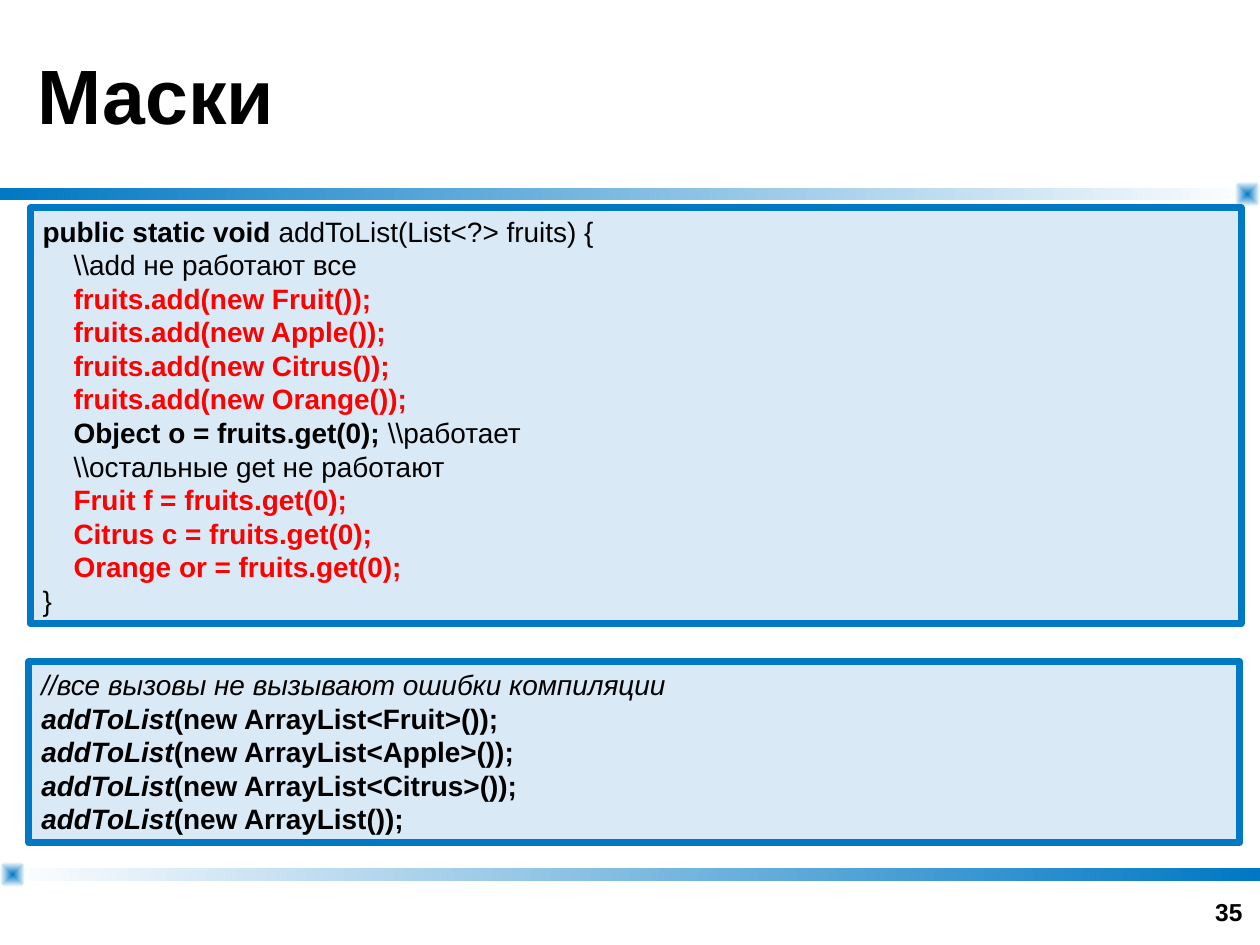
from lxml import etree
from pptx import Presentation
from pptx.dml.color import RGBColor
from pptx.enum.shapes import MSO_SHAPE
from pptx.enum.text import MSO_ANCHOR, PP_ALIGN
from pptx.oxml.ns import qn
from pptx.util import Inches, Pt

RECT, ROUNDED = MSO_SHAPE.RECTANGLE, MSO_SHAPE.ROUNDED_RECTANGLE
TOP, MIDDLE, BOTTOM = MSO_ANCHOR.TOP, MSO_ANCHOR.MIDDLE, MSO_ANCHOR.BOTTOM
LEFT, RIGHT = PP_ALIGN.LEFT, PP_ALIGN.RIGHT
BLUE, WHITE, BLACK, RED = "0078C3", "FFFFFF", "000000", "FF0000"


def rgb(value):
    return RGBColor.from_string(value)


def write(frame, lines, size, anchor=TOP, align=LEFT):
    """Each line is a list of (text, style, colour); style holds b and/or i."""
    frame.word_wrap = True
    frame.vertical_anchor = anchor
    for number, line in enumerate(lines):
        paragraph = frame.add_paragraph() if number else frame.paragraphs[0]
        paragraph.alignment = align
        for text, style, colour in line:
            run = paragraph.add_run()
            run.text = text
            run.font.name = "Arial"
            run.font.size = Pt(size)
            run.font.bold = "b" in style
            run.font.italic = "i" in style
            run.font.color.rgb = rgb(colour)


prs = Presentation()
prs.slide_width, prs.slide_height = Inches(10), Inches(7.5)
slide = prs.slides.add_slide(prs.slide_layouts[6])
shapes = slide.shapes

# Divider bars, then the glowing squares at their pale ends
ornaments = [
    (RECT, 0, 1.49, 10, 0.1, BLUE, WHITE),
    (RECT, 0, 6.89, 10, 0.1, WHITE, BLUE),
    (ROUNDED, 9.8, 1.44, 0.2, 0.2, BLUE, WHITE),
    (ROUNDED, 0, 6.84, 0.2, 0.2, BLUE, WHITE),
]
for kind, left, top, width, height, start, end in ornaments:
    ornament = shapes.add_shape(kind, Inches(left), Inches(top), Inches(width), Inches(height))
    ornament.shadow.inherit = False
    ornament.line.fill.background()
    ornament.fill.gradient()
    ornament.fill.gradient_angle = 0
    for stop, position, colour in zip(ornament.fill.gradient_stops, (0, 1), (start, end)):
        stop.position = position
        stop.color.rgb = rgb(colour)
    if kind == ROUNDED:
        ornament.adjustments[0] = 0.32
        gradient = ornament._element.spPr.find(qn("a:gradFill"))
        gradient.remove(gradient.find(qn("a:lin")))
        glow = etree.SubElement(gradient, qn("a:path"), path="rect")
        etree.SubElement(glow, qn("a:fillToRect"), l="50000", t="50000", r="50000", b="50000")

page_number = shapes.add_textbox(Inches(7.63), Inches(6.9), Inches(2.33), Inches(0.5))
write(page_number.text_frame, [[("35", "b", BLACK)]], 14, BOTTOM, RIGHT)

title = shapes.add_textbox(Inches(0.2), Inches(0), Inches(9.6), Inches(1.49))
write(title.text_frame, [[("Маски", "b", BLACK)]], 44, MIDDLE)

method_code = [
    [("public static void ", "b", BLACK), ("addToList(List<?> fruits) {", "", BLACK)],
    [("    \\\\add не работают все", "", BLACK)],
    *[[(f"    fruits.add(new {fruit}());", "b", RED)]
      for fruit in ("Fruit", "Apple", "Citrus", "Orange")],
    [("    ", "", BLACK), ("Object o = fruits.get(0); ", "b", BLACK), ("\\\\работает", "", BLACK)],
    [("    \\\\остальные get не работают", "", BLACK)],
    *[[(f"    {variable} = fruits.get(0);", "b", RED)]
      for variable in ("Fruit f", "Citrus c", "Orange or")],
    [("}", "", BLACK)],
]
call_code = [
    [("//все вызовы не вызывают ошибки компиляции", "i", BLACK)],
    *[[("addToList", "bi", BLACK), (f"(new ArrayList{type_argument}());", "b", BLACK)]
      for type_argument in ("<Fruit>", "<Apple>", "<Citrus>", "")],
]
for left, top, height, code in [(0.24, 1.65, 3.3, method_code), (0.23, 5.25, 1.44, call_code)]:
    panel = shapes.add_shape(RECT, Inches(left), Inches(top), Inches(9.61), Inches(height))
    panel.shadow.inherit = False
    panel.fill.solid()
    panel.fill.fore_color.rgb = rgb(BLUE)
    tint = panel._element.spPr.find(qn("a:solidFill"))[0]
    etree.SubElement(tint, qn("a:alpha"), val="15000")
    panel.line.color.rgb = rgb(BLUE)
    panel.line.width = Pt(4)
    write(panel.text_frame, code, 16)

prs.save("out.pptx")
